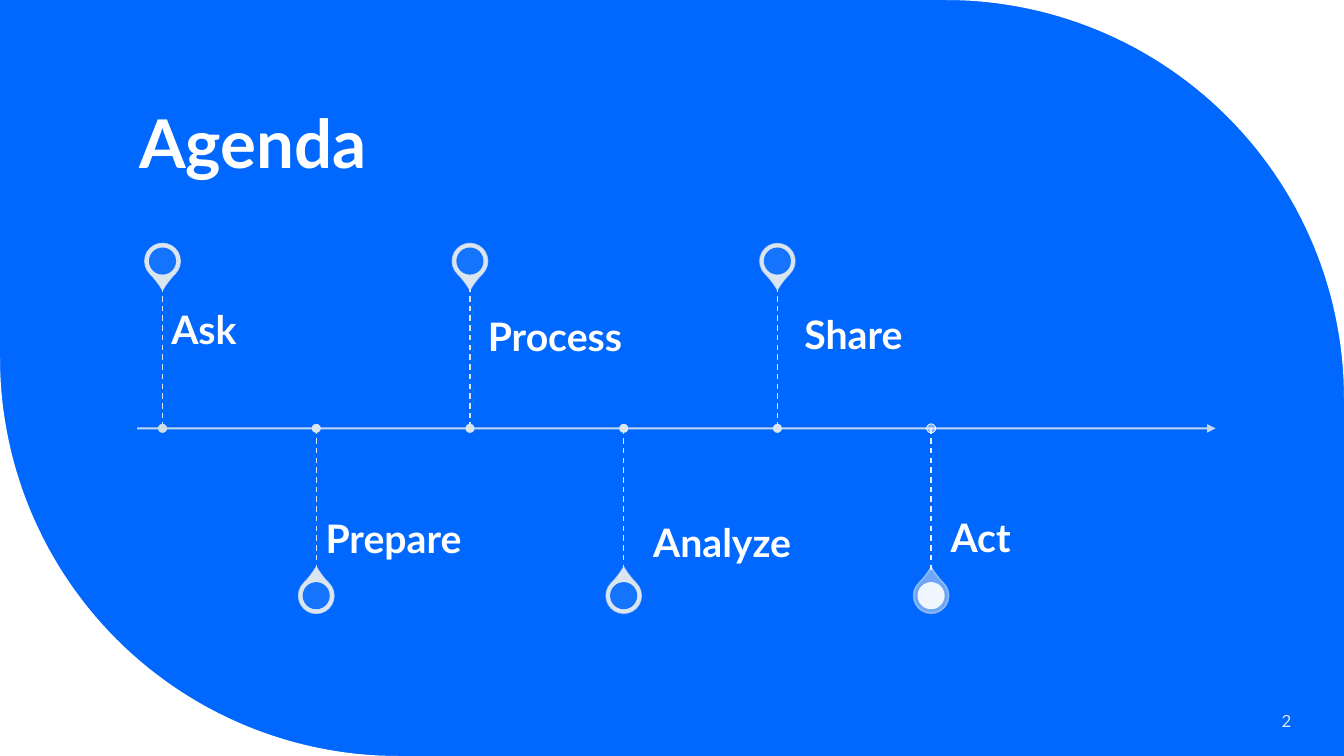
"""Build the agenda slide: a timeline with alternating pins."""
from dataclasses import dataclass
from math import cos, pi, sin

from pptx import Presentation
from pptx.dml.color import RGBColor
from pptx.dml.fill import FillFormat
from pptx.enum.dml import MSO_LINE_DASH_STYLE as Dash
from pptx.enum.shapes import MSO_CONNECTOR as Conn, MSO_SHAPE as Shape
from pptx.enum.text import MSO_ANCHOR as Anchor, MSO_AUTO_SIZE as Fit, PP_ALIGN as Align
from pptx.oxml.ns import qn
from pptx.oxml.xmlchemy import BaseOxmlElement as Element
from pptx.shapes.autoshape import Shape as AutoShape
from pptx.shapes.connector import Connector
from pptx.slide import Slide
from pptx.text.text import TextFrame
from pptx.util import Pt

WIDTH, HEIGHT = 960, 540
BLUE, WHITE, PALE, LIGHT, GREY = "0068FF", "FFFFFF", "DAE5EF", "EEF3F7", "D0DBE4"
CORNER_RADIUS = 284.4
AXIS_Y, AXIS_LEFT, AXIS_RIGHT = 306, 98, 868.3
FIRST_X, STEP_X = 116.1, 109.8
PIN_OFFSET, STEM_LENGTH = 119.5, 101.5
PIN_SIZE, HOLE_SIZE, DOT_SIZE = 25.2, 19.4, 6.5


@dataclass
class Stage:
    label: str
    left: float
    top: float
    width: float = 156.2
    hole: str = BLUE
    stem: str = PALE
    dot: str = PALE
    current: bool = False


STAGES = [
    Stage("Ask", 122.4, 218.9, dot=GREY),
    Stage("Prepare", 232.6, 368.6),
    Stage("Process", 348.5, 223.9),
    Stage("Analyze", 466.6, 370.8),
    Stage("Share", 574.6, 222.5),
    Stage("Act", 679, 367.9, 182.9, WHITE, LIGHT, LIGHT, current=True),
]


def paint(fill: FillFormat, colour: str) -> None:
    fill.solid()
    fill.fore_color.rgb = RGBColor.from_string(colour)


def fade(owner: Element, percent: int) -> None:
    colour = owner.find(qn("a:solidFill"))[0]
    colour.makeelement(qn("a:alpha"), {})
    alpha = colour.makeelement(qn("a:alpha"), {"val": str(percent * 1000)})
    colour.append(alpha)


def write(tf: TextFrame, text: str, *, size: float, colour: str = WHITE, bold: bool = False,
          align: Align = Align.LEFT, anchor: Anchor = Anchor.MIDDLE,
          spacing: float = 1.0) -> None:
    tf.word_wrap = True
    tf.auto_size = Fit.NONE
    tf.vertical_anchor = anchor
    p = tf.paragraphs[0]
    p.alignment, p.line_spacing = align, spacing
    r = p.add_run()
    r.text = text
    r.font.name, r.font.size, r.font.bold = "Lato", Pt(size), bold
    paint(r.font.fill, colour)


def add_line(s: Slide, x1: float, y1: float, x2: float, y2: float,
             colour: str, width: float) -> Connector:
    line = s.shapes.add_connector(Conn.STRAIGHT, Pt(x1), Pt(y1), Pt(x2), Pt(y2))
    line.line.width = Pt(width)
    paint(line.line.fill, colour)
    sp_pr = line._element.spPr
    sp_pr.append(sp_pr.makeelement(qn("a:effectLst"), {}))
    return line


def add_centred(s: Slide, kind: Shape, x: float, y: float, size: float,
                colour: str) -> AutoShape:
    sp = s.shapes.add_shape(kind, Pt(x - size / 2), Pt(y - size / 2), Pt(size), Pt(size))
    sp.shadow.inherit = False
    paint(sp.fill, colour)
    sp.line.fill.background()
    return sp


def outline(sp: AutoShape, colour: str, width: float) -> Element:
    paint(sp.line.fill, colour)
    sp.line.width = Pt(width)
    return sp._element.spPr.find(qn("a:ln"))


def add_corner(s: Slide, x: float, y: float, side: int) -> None:
    steps = 60
    reach = side * CORNER_RADIUS
    arc = [(Pt(x - reach + reach * sin(i * pi / 2 / steps)),
            Pt(y + reach - reach * cos(i * pi / 2 / steps))) for i in range(steps + 1)]
    builder = s.shapes.build_freeform(Pt(x), Pt(y))
    builder.add_line_segments(arc, close=True)
    sp = builder.convert_to_shape()
    sp.shadow.inherit = False
    paint(sp.fill, WHITE)
    sp.line.fill.background()


def add_axis(s: Slide) -> None:
    axis = add_line(s, AXIS_LEFT, AXIS_Y, AXIS_RIGHT, AXIS_Y, PALE, 1.5)
    ln = axis._element.spPr.find(qn("a:ln"))
    fade(ln, 90)
    ln.append(ln.makeelement(qn("a:tailEnd"), {"type": "triangle"}))


def add_stage(s: Slide, index: int, stage: Stage) -> None:
    x = FIRST_X + index * STEP_X
    side = 1 if index % 2 else -1
    pin_y = AXIS_Y + side * PIN_OFFSET

    pin = add_centred(s, Shape.TEAR, x, pin_y, PIN_SIZE, PALE)
    pin.adjustments[0] = 1.15
    pin.rotation = 315 if side > 0 else 135
    fade(outline(pin, PALE, 1), 90 - 8 * index)
    hole = add_centred(s, Shape.OVAL, x, pin_y, HOLE_SIZE, stage.hole)
    fade(hole._element.spPr, 90)

    box = s.shapes.add_textbox(Pt(stage.left), Pt(stage.top), Pt(stage.width), Pt(36))
    tf = box.text_frame
    tf.margin_left = tf.margin_top = tf.margin_bottom = 0
    tf.margin_right = Pt(13.7)
    write(tf, stage.label, size=28, bold=True, spacing=0.9)

    ends = sorted((AXIS_Y, AXIS_Y + side * STEM_LENGTH))
    stem = add_line(s, x, ends[0], x, ends[1], stage.stem, 1)
    stem.line.dash_style = Dash.DASH
    dot = add_centred(s, Shape.OVAL, x, AXIS_Y, DOT_SIZE, stage.dot)
    if stage.current:
        fade(pin._element.spPr, 50)
        fade(dot._element.spPr, 50)
        outline(dot, WHITE, 0.5)


def main() -> None:
    prs = Presentation()
    prs.slide_width, prs.slide_height = Pt(WIDTH), Pt(HEIGHT)
    s = prs.slides.add_slide(prs.slide_layouts[5])
    paint(s.background.fill, BLUE)
    add_corner(s, WIDTH, 0, 1)
    add_corner(s, 0, HEIGHT, -1)

    title = s.shapes.title
    title.left, title.top, title.width, title.height = Pt(92.2), Pt(30.2), Pt(769.7), Pt(104.4)
    write(title.text_frame, "Agenda", size=48, bold=True, anchor=Anchor.BOTTOM, spacing=0.9)

    add_axis(s)
    for index, stage in enumerate(STAGES):
        add_stage(s, index, stage)

    number = s.shapes.add_textbox(Pt(799.2), Pt(500.4), Pt(130.3), Pt(28.8))
    write(number.text_frame, "2", size=12, colour=PALE, align=Align.RIGHT)
    prs.save("out.pptx")


if __name__ == "__main__":
    main()
